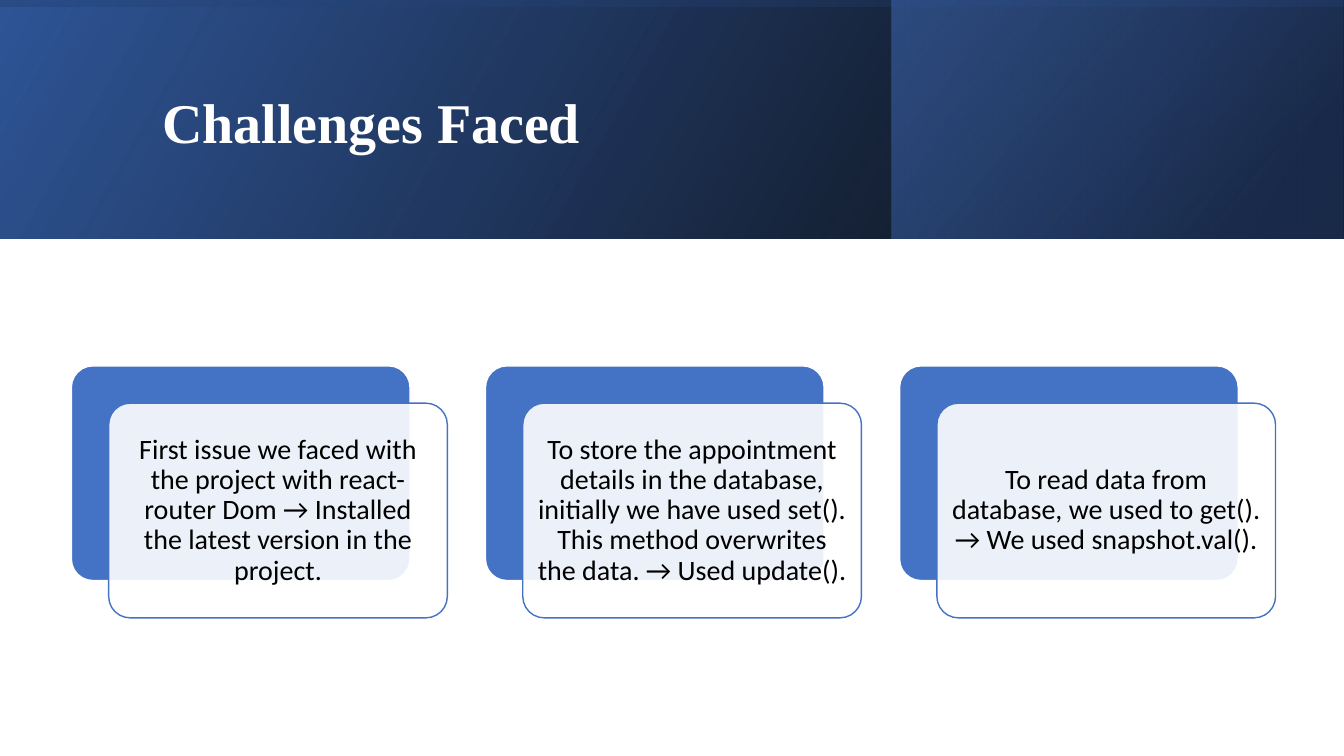
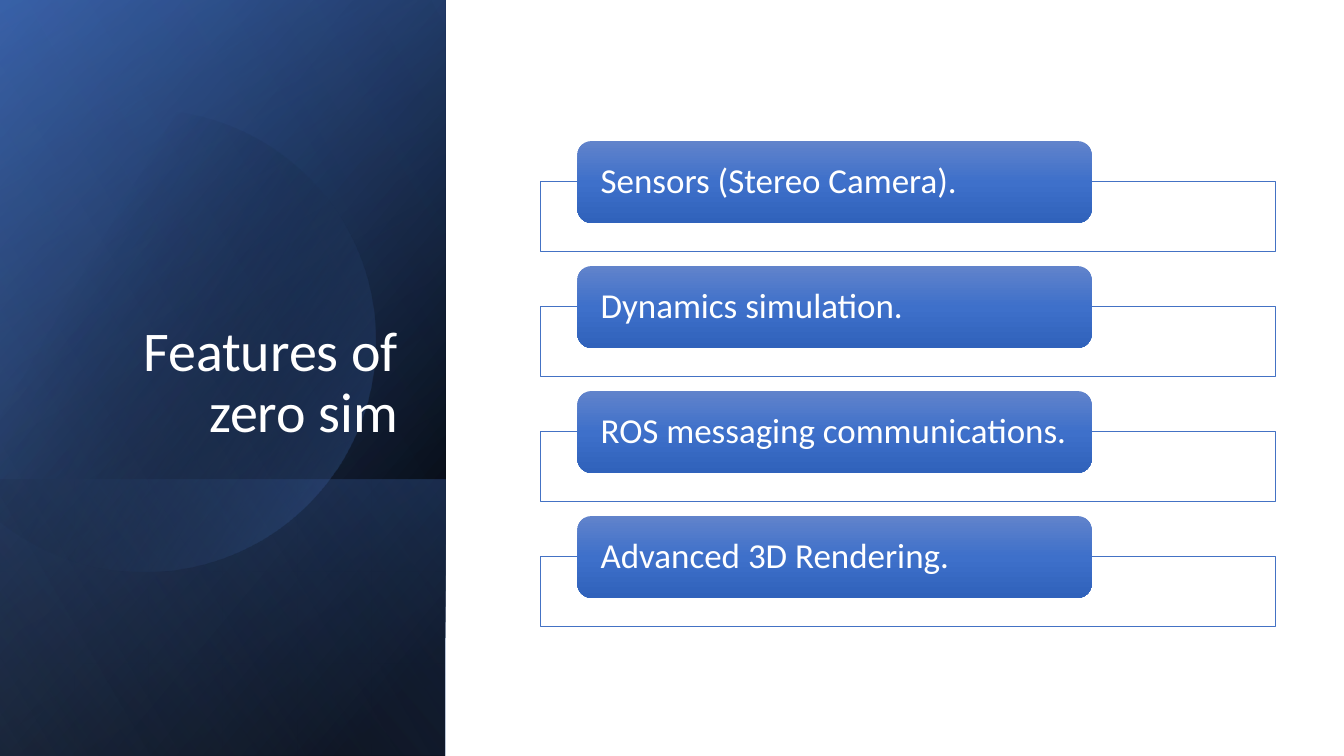
"""Build two slides: challenge cards under a banner, and feature rows beside a panel."""
from dataclasses import dataclass
from math import acos, cos, radians, sin, degrees
from typing import Optional

from pptx import Presentation
from pptx.dml.color import RGBColor
from pptx.enum.shapes import MSO_SHAPE
from pptx.enum.text import MSO_ANCHOR, MSO_AUTO_SIZE, PP_ALIGN
from pptx.oxml import parse_xml
from pptx.oxml.ns import nsdecls, qn
from pptx.shapes.autoshape import Shape
from pptx.slide import Slide
from pptx.util import Inches, Length, Pt

COLUMNS, ROWS = 160, 90
CELL = 7.5 / ROWS

WHITE = RGBColor(0xFF, 0xFF, 0xFF)
BLACK = RGBColor(0x00, 0x00, 0x00)
BLUE = RGBColor(0x44, 0x72, 0xC4)
DEEP_BLUE = RGBColor(0x2F, 0x55, 0x97)
NAVY = RGBColor(0x20, 0x38, 0x64)
PALE_BLUE = RGBColor(0x8F, 0xAA, 0xDC)
BUTTON_TOP = RGBColor(0x61, 0x83, 0xCB)
BUTTON_MIDDLE = RGBColor(0x3E, 0x70, 0xCA)
BUTTON_BOTTOM = RGBColor(0x30, 0x62, 0xBB)

BODY_FONT = "Calibri"
TITLE_FONT = "Times New Roman"
BANNER_ROWS = 28.44
PANEL_COLUMNS = 53.04


@dataclass(frozen=True)
class Box:
    """Hold a place in grid cells."""
    left: float
    top: float
    width: float
    height: float


@dataclass(frozen=True)
class Stop:
    """Hold one gradient stop, in percent."""
    position: int
    color: RGBColor
    opacity: int = 100


@dataclass(frozen=True)
class Shade:
    """Hold a linear gradient."""
    angle: int
    stops: tuple[Stop, ...]


@dataclass(frozen=True)
class Band:
    """Hold a mirrored gradient layer, placed by its visible box."""
    box: Box
    shade: Shade
    rotation: int = 0


BANNER = Box(0, 0, COLUMNS, BANNER_ROWS)
PANEL = Box(0, 0, PANEL_COLUMNS, ROWS)

BANNER_BANDS = (
    Band(BANNER, Shade(330, (Stop(0, BLACK, 96), Stop(100, DEEP_BLUE)))),
    Band(Box(106.1, 0, 53.8, BANNER_ROWS),
         Shade(320, (Stop(19, NAVY, 68), Stop(100, BLUE, 48)))),
    Band(BANNER, Shade(350, (Stop(23, DEEP_BLUE, 16), Stop(99, BLACK, 45))), 270),
)
PANEL_BANDS = (
    Band(PANEL, Shade(50, (Stop(8, BLACK), Stop(100, DEEP_BLUE))), 90),
    Band(PANEL, Shade(30, (Stop(0, BLACK, 0), Stop(99, BLUE, 46))), 90),
    Band(Box(0, 57.12, PANEL_COLUMNS, ROWS - 57.12),
         Shade(130, (Stop(2, BLUE, 29), Stop(100, BLACK, 30))), 90),
)
PANEL_GLAZE = Band(PANEL, Shade(120, (Stop(0, BLACK, 0), Stop(99, PALE_BLUE, 11))), 90)
DISC_SHADE = Shade(30, (Stop(29, BLACK, 0), Stop(100, BLUE, 43)))
BUTTON_SHADE = Shade(90, (Stop(0, BUTTON_TOP), Stop(50, BUTTON_MIDDLE),
                          Stop(100, BUTTON_BOTTOM)))

CHALLENGES = (
    "First issue we faced with the project with react-router Dom → Installed "
    "the latest version in the project.",
    "To store the appointment details in the database, initially we have used set(). "
    "This method overwrites the data. → Used update().",
    "To read data from database, we used to get(). → We used snapshot.val().",
)
FEATURES = (
    "Sensors (Stereo Camera).",
    "Dynamics simulation.",
    "ROS messaging communications.",
    "Advanced 3D Rendering.",
)


def cells(count: float) -> Length:
    """Turn grid cells into a length."""
    return Inches(count * CELL)


def place(shape: Shape, box: Box) -> None:
    """Move and size a shape to a box."""
    shape.left, shape.top = cells(box.left), cells(box.top)
    shape.width, shape.height = cells(box.width), cells(box.height)


def paint_shade(shape: Shape, shade: Shade) -> None:
    """Fill a shape with a gradient that may be translucent."""
    stops = "".join(
        f'<a:gs pos="{stop.position * 1000}"><a:srgbClr val="{stop.color}">'
        f'<a:alpha val="{stop.opacity * 1000}"/></a:srgbClr></a:gs>'
        for stop in shade.stops)
    gradient = parse_xml(
        f'<a:gradFill {nsdecls("a")} rotWithShape="1"><a:gsLst>{stops}</a:gsLst>'
        f'<a:lin ang="{shade.angle * 60000}" scaled="0"/></a:gradFill>')
    shape.fill.background()
    properties = shape._element.spPr
    properties.replace(properties.find(qn("a:noFill")), gradient)


def paint_solid(shape: Shape, color: RGBColor, opacity: int = 100) -> None:
    """Fill a shape with one colour."""
    shape.fill.solid()
    shape.fill.fore_color.rgb = color
    if opacity < 100:
        swatch = shape._element.spPr.find(qn("a:solidFill"))[0]
        swatch.append(parse_xml(f'<a:alpha {nsdecls("a")} val="{opacity * 1000}"/>'))


def add_block(slide: Slide, box: Box, *, kind: MSO_SHAPE = MSO_SHAPE.RECTANGLE,
              corner: Optional[float] = None, border: Optional[RGBColor] = None,
              border_width: float = 1) -> Shape:
    """Add an unfilled block with an optional border."""
    block = slide.shapes.add_shape(kind, 0, 0, 0, 0)
    place(block, box)
    block.shadow.inherit = False
    if corner is not None:
        block.adjustments[0] = corner
    if border is None:
        block.line.fill.background()
    else:
        block.line.color.rgb = border
        block.line.width = Pt(border_width)
    return block


def add_band(slide: Slide, band: Band) -> None:
    """Draw a mirrored gradient layer."""
    box = band.box
    if band.rotation:
        shift = (box.width - box.height) / 2
        box = Box(box.left + shift, box.top - shift, box.height, box.width)
    layer = add_block(slide, box)
    layer.rotation = band.rotation
    layer._element.spPr.find(qn("a:xfrm")).set("flipH", "1")
    paint_shade(layer, band.shade)


def add_disc(slide: Slide, across: float, down: float, radius: float, edge: float) -> None:
    """Draw a translucent disc cut off straight at its left edge."""
    reach = degrees(acos((edge - across) / radius))
    steps = 120
    turns = [radians(reach * (2 * step / steps - 1)) for step in range(steps + 1)]
    rim = [(cells(across + radius * cos(turn)), cells(down + radius * sin(turn)))
           for turn in turns]
    builder = slide.shapes.build_freeform(*rim[0])
    builder.add_line_segments(rim[1:], close=True)
    disc = builder.convert_to_shape()
    disc.shadow.inherit = False
    disc.line.fill.background()
    paint_shade(disc, DISC_SHADE)


def write(shape: Shape, text: str, *, size: float, color: RGBColor = WHITE,
          font: str = BODY_FONT, bold: bool = False,
          align: PP_ALIGN = PP_ALIGN.LEFT, anchor: MSO_ANCHOR = MSO_ANCHOR.MIDDLE,
          margins: tuple[float, float] = (0.1, 0.05)) -> None:
    """Write formatted text into a shape, with side and top margins in inches."""
    frame = shape.text_frame
    frame.text = text
    frame.word_wrap = True
    frame.auto_size = MSO_AUTO_SIZE.NONE
    frame.vertical_anchor = anchor
    frame.margin_left = frame.margin_right = Inches(margins[0])
    frame.margin_top = frame.margin_bottom = Inches(margins[1])
    paragraph = frame.paragraphs[0]
    paragraph.alignment = align
    paragraph.line_spacing = 0.9
    letters = paragraph.runs[0].font
    letters.name, letters.size, letters.bold = font, Pt(size), bold
    letters.color.rgb = color


def add_title(slide: Slide, text: str, box: Box, **style) -> None:
    """Set the title placeholder in front of the layers drawn so far."""
    title = slide.shapes.title
    slide.shapes._spTree.append(title._element)
    place(title, box)
    write(title, text, size=40, **style)


def add_challenge(slide: Slide, text: str, left: float) -> None:
    """Draw a text card over an offset blue backing."""
    backing = Box(left, 43.56, 40.32, 25.56)
    offset = 4.44
    style = dict(kind=MSO_SHAPE.ROUNDED_RECTANGLE, corner=0.1)
    paint_solid(add_block(slide, backing, border=WHITE, **style), BLUE)
    card = add_block(slide, Box(left + offset, backing.top + offset,
                                backing.width, backing.height), border=BLUE, **style)
    paint_solid(card, WHITE, 90)
    write(card, text, size=20, color=BLACK, align=PP_ALIGN.CENTER, margins=(0.08, 0.08))


def add_feature(slide: Slide, text: str, top: float) -> None:
    """Draw a feature button over its outlined row."""
    row = add_block(slide, Box(64.3, top + 4.8, 87.5, 8.28), border=BLUE, border_width=0.5)
    paint_solid(row, WHITE, 90)
    button = add_block(slide, Box(68.76, top, 61.2, 9.72), kind=MSO_SHAPE.ROUNDED_RECTANGLE)
    paint_shade(button, BUTTON_SHADE)
    write(button, text, size=25, margins=(0.19, 0))


def build_challenges(slide: Slide) -> None:
    """Build the challenges slide."""
    for band in BANNER_BANDS:
        add_band(slide, band)
    add_title(slide, "Challenges Faced", Box(18.12, 4.56, 127.56, 20.64),
              font=TITLE_FONT, bold=True)
    for index, challenge in enumerate(CHALLENGES):
        add_challenge(slide, challenge, 8.5 + index * 49.3)


def build_features(slide: Slide) -> None:
    """Build the features slide."""
    for band in PANEL_BANDS:
        add_band(slide, band)
    add_disc(slide, across=17.16, down=40.56, radius=27.48, edge=-1.8)
    add_band(slide, PANEL_GLAZE)
    add_title(slide, "Features of zero sim", Box(7.68, 22.08, 40.92, 31.44),
              align=PP_ALIGN.RIGHT, anchor=MSO_ANCHOR.BOTTOM)
    for index, feature in enumerate(FEATURES):
        add_feature(slide, feature, 16.8 + index * 14.88)


def main() -> None:
    """Build and save the presentation."""
    deck = Presentation()
    deck.slide_width, deck.slide_height = cells(COLUMNS), cells(ROWS)
    title_only = deck.slide_layouts.get_by_name("Title Only")
    for build in (build_challenges, build_features):
        build(deck.slides.add_slide(title_only))
    deck.save("out.pptx")


if __name__ == "__main__":
    main()
